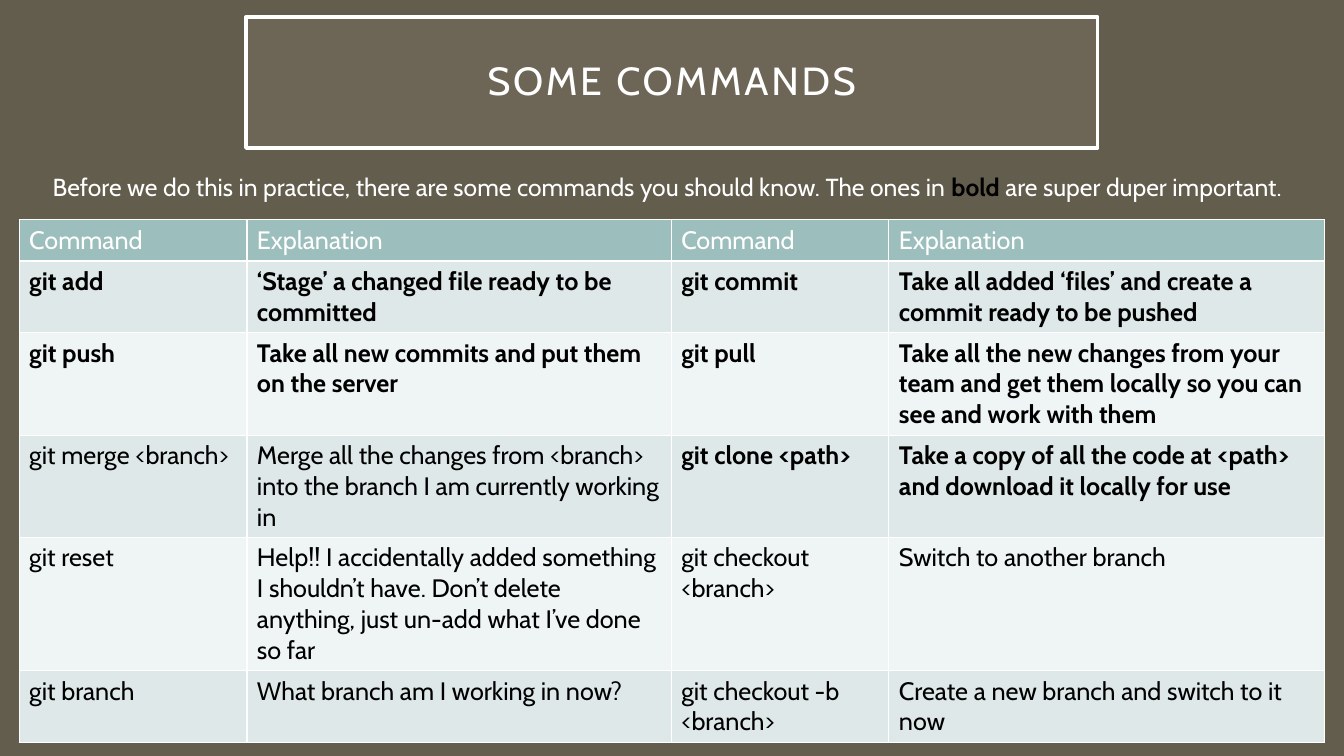
from lxml import etree
from pptx import Presentation
from pptx import util as u
from pptx.dml.color import RGBColor
from pptx.enum import text
from pptx.oxml import ns

Pt = u.Pt
FONT = "Cabin"
COLORS = {
    "page": "635D4D", "title": "A7A08E", "white": "FFFFFF", "black": "000000",
    "header": "9CBEBD", "odd": "DEE8E8", "even": "EFF4F4",
}
COLUMN_WIDTHS = [162.7, 303.1, 155.5, 311]
ROW_HEIGHT = 29.5
HEADINGS = ["Command", "Explanation"] * 2
# Each entry: command, explanation, important
LEFT_COMMANDS = [
    ("git add", "‘Stage’ a changed file ready to be committed", True),
    ("git push", "Take all new commits and put them on the server", True),
    ("git merge <branch>", "Merge all the changes from <branch> into the branch "
     "I am currently working in", False),
    ("git reset", "Help!! I accidentally added something I shouldn’t have. Don’t delete "
     "anything, just un-add what I’ve done so far", False),
    ("git branch", "What branch am I working in now?", False),
]
RIGHT_COMMANDS = [
    ("git commit", "Take all added ‘files’ and create a commit ready to be pushed", True),
    ("git pull", "Take all the new changes from your team and get them locally "
     "so you can see and work with them", True),
    ("git clone <path>", "Take a copy of all the code at <path> and download it "
     "locally for use", True),
    ("git checkout <branch>", "Switch to another branch", False),
    ("git checkout -b <branch>", "Create a new branch and switch to it now", False),
]


def color(name):
    """Return the named colour."""
    return RGBColor.from_string(COLORS[name])


def paint(fill, name):
    """Make a fill solid in the named colour."""
    fill.solid()
    fill.fore_color.rgb = color(name)


def style(font, size, name, bold=False):
    """Set typeface, size, colour and weight."""
    font.name, font.size, font.bold = FONT, Pt(size), bold
    font.color.rgb = color(name)


def place(shape, box):
    """Move a shape to a box of left, top, width and height in points."""
    shape.left, shape.top, shape.width, shape.height = map(Pt, box)


def add_title(page, box):
    """Fill the title placeholder and frame it."""
    title = page.shapes.title
    place(title, box)
    paint(title.fill, "title")
    tint = title.fill._xPr.find(".//" + ns.qn("a:srgbClr"))
    etree.SubElement(tint, ns.qn("a:alpha"), val="15000")
    title.line.color.rgb = color("white")
    title.line.width = Pt(2.5)
    frame = title.text_frame
    frame.auto_size = text.MSO_AUTO_SIZE.NONE
    frame.vertical_anchor = text.MSO_ANCHOR.MIDDLE
    frame.margin_left = frame.margin_right = Pt(14.4)
    frame.margin_top = frame.margin_bottom = Pt(14.4)
    para = frame.paragraphs[0]
    para.alignment = text.PP_ALIGN.CENTER
    para.line_spacing = 0.9
    style(para.font, 28, "white")
    span = para.add_run()
    span.text = "SOME COMMANDS"
    span._r.get_or_add_rPr().set("spc", "200")


def add_intro(page, box):
    """Fill the body placeholder with the introductory line."""
    body = page.placeholders[1]
    place(body, box)
    body.text_frame.auto_size = text.MSO_AUTO_SIZE.NONE
    para = body.text_frame.paragraphs[0]
    para.alignment = text.PP_ALIGN.CENTER
    para.space_before = Pt(10)
    settings = para._p.get_or_add_pPr()
    settings.set("marL", "0")
    settings.set("indent", "0")
    etree.SubElement(settings, ns.qn("a:buNone"))
    style(para.font, 17.6, "white")
    for words, important in [
        ("Before we do this in practice, there are some commands you should know. "
         "The ones in ", False),
        ("bold", True),
        (" are super duper important.", False),
    ]:
        span = para.add_run()
        span.text = words
        if important:
            span.font.bold = True
            span.font.color.rgb = color("black")


def add_borders(cell):
    """Draw a thin white line on every side of a cell."""
    settings = cell._tc.get_or_add_tcPr()
    for side in ("lnL", "lnR", "lnT", "lnB"):
        line = etree.SubElement(settings, ns.qn("a:" + side), w=str(Pt(1)))
        fill = etree.SubElement(line, ns.qn("a:solidFill"))
        etree.SubElement(fill, ns.qn("a:srgbClr"), val=COLORS["white"])


def fill_cell(cell, words, background, ink, bold):
    """Write and format one table cell."""
    add_borders(cell)
    paint(cell.fill, background)
    para = cell.text_frame.paragraphs[0]
    para.text = words
    style(para.font, 18, ink, bold)


def add_commands(page, left, top):
    """Add the command table; its rows grow to fit their text."""
    rows = len(LEFT_COMMANDS) + 1
    table = page.shapes.add_table(
        rows, len(COLUMN_WIDTHS), Pt(left), Pt(top),
        Pt(sum(COLUMN_WIDTHS)), Pt(rows * ROW_HEIGHT)).table
    for column, width in zip(table.columns, COLUMN_WIDTHS):
        column.width = Pt(width)
    for row in table.rows:
        row.height = Pt(ROW_HEIGHT)
    for index, heading in enumerate(HEADINGS):
        fill_cell(table.cell(0, index), heading, "header", "white", False)
    for number, pair in enumerate(zip(LEFT_COMMANDS, RIGHT_COMMANDS), 1):
        band = "odd" if number % 2 else "even"
        for half, (command, explanation, important) in enumerate(pair):
            for offset, words in enumerate((command, explanation)):
                cell = table.cell(number, 2 * half + offset)
                fill_cell(cell, words, band, "black", important)


def build_page(deck):
    """Build the slide of commands."""
    page = deck.slides.add_slide(deck.slide_layouts[1])
    paint(page.background.fill, "page")
    add_title(page, (175.7, 12.2, 608.4, 93.6))
    add_intro(page, (7.2, 118.8, 938.9, 38.2))
    add_commands(page, 13.7, 157)


deck = Presentation()
deck.slide_width, deck.slide_height = Pt(960), Pt(540)
build_page(deck)
deck.save("out.pptx")
